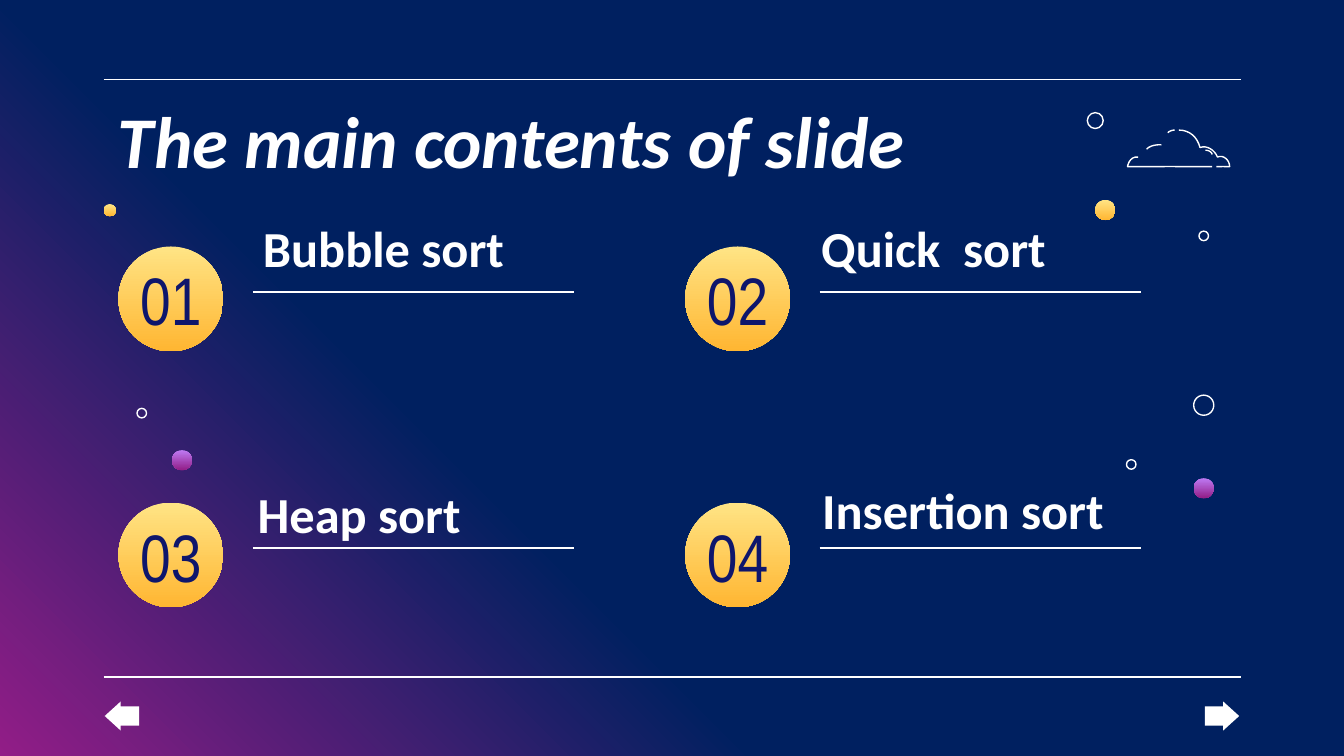
"""Build the contents slide listing four sorting algorithms."""
from lxml import etree
from pptx import Presentation, util as u
from pptx.dml.color import RGBColor
from pptx.enum import shapes, text
from pptx.oxml.ns import qn

Cm = u.Cm
COLORS = {
    "white": "FFFFFF", "navy": "002060", "magenta": "921D87", "digit": "0E166C",
    "gold": "FFE485", "amber": "FFB632", "violet": "BE7AF3",
}
RGB = {name: RGBColor.from_string(value) for name, value in COLORS.items()}
GOLD, PURPLE = ("gold", "amber"), ("violet", "magenta")
TITLE = {"size": u.Pt(39), "name": "Calibri", "bold": True, "italic": True}
LABEL = {"size": u.Pt(27), "name": "Calibri", "bold": True}
NUMBER = {"size": u.Pt(36), "name": "Arial Narrow", "bold": False}
FRAME = {"word_wrap": True, "auto_size": text.MSO_AUTO_SIZE.NONE}
FRAME |= {f"margin_{side}": Cm(0.25) for side in ("left", "top", "right", "bottom")}


def write(sp, content, font, color="white", align="LEFT", anchor="TOP"):
    tf = sp.text_frame
    for name, value in FRAME.items():
        setattr(tf, name, value)
    tf.vertical_anchor = text.MSO_ANCHOR[anchor]
    p = tf.paragraphs[0]
    p.alignment = text.PP_ALIGN[align]
    r = p.add_run()
    r.text = content
    for name, value in font.items():
        setattr(r.font, name, value)
    r.font.color.rgb = RGB[color]


def paint(fill, stops, angle, start=0):
    fill.gradient()
    fill.gradient_angle = angle
    for stop, color, position in zip(fill.gradient_stops, stops, (start, 1)):
        stop.color.rgb = RGB[color]
        stop.position = position


prs = Presentation()
prs.slide_width, prs.slide_height = Cm(25.4), Cm(14.29)
s = prs.slides.add_slide(prs.slide_layouts[5])
paint(s.background.fill, ("navy", "magenta"), 225, 0.64)

title = s.shapes.title
title.left, title.top, title.width, title.height = Cm(1.98), Cm(1.55), Cm(21.44), Cm(1.68)
write(title, "The main contents of slide", TITLE)

columns, rows, size = (2.24, 12.95), (4.66, 9.5), 1.98
labels = [
    ("Bubble sort", 4.72, 3.86), ("Quick  sort", 15.27, 3.86),
    ("Heap sort", 4.62, 8.89), ("Insertion sort", 15.29, 8.81),
]
rules = [(1.96, 1.5, 21.49), (1.96, 12.8, 21.49)]
dots = [
    (20.7, 3.78, 0.38, GOLD), (1.96, 3.86, 0.23, GOLD),
    (22.56, 9.04, 0.38, PURPLE), (3.25, 8.51, 0.38, PURPLE),
    (22.66, 4.37, 0.18, None), (20.55, 2.13, 0.3, None), (22.56, 7.47, 0.38, None),
    (21.29, 8.69, 0.18, None), (2.59, 7.72, 0.18, None),
]
cells = [(x, y) for y in rows for x in columns]
for x, y in cells:
    rules.append((x + 2.54, y + 0.86, 6.07))
    dots.append((x, y, size, GOLD))

for x, y, length in rules:
    rule = s.shapes.add_connector(
        shapes.MSO_CONNECTOR.STRAIGHT, Cm(x), Cm(y), Cm(x + length), Cm(y))
    rule.line.color.rgb = RGB["white"]
    rule.line.width = u.Pt(0.75)
    etree.SubElement(rule._element.spPr, qn("a:effectLst"))

for x, y, d, stops in dots:
    dot = s.shapes.add_shape(shapes.MSO_SHAPE.OVAL, Cm(x), Cm(y), Cm(d), Cm(d))
    dot.shadow.inherit = False
    if stops:
        paint(dot.fill, stops, 270)
        dot.line.fill.background()
    else:
        dot.fill.background()
        dot.line.color.rgb = RGB["white"]
        dot.line.width = u.Pt(0.75)

for i, ((x, y), (label, left, top)) in enumerate(zip(cells, labels), 1):
    number = s.shapes.add_textbox(Cm(x), Cm(y + 0.51), Cm(size), Cm(0.97))
    write(number, f"{i:02}", NUMBER, "digit", "CENTER", "MIDDLE")
    name = s.shapes.add_textbox(Cm(left), Cm(top), Cm(7.8), Cm(1.22))
    write(name, label, LABEL)

for kind, x in (("LEFT_ARROW", 1.98), ("RIGHT_ARROW", 22.77)):
    arrow = s.shapes.add_shape(shapes.MSO_SHAPE[kind], Cm(x), Cm(13.26), Cm(0.65), Cm(0.55))
    arrow.adjustments[0], arrow.adjustments[1] = 0.66, 0.55
    arrow.shadow.inherit = False
    arrow.fill.solid()
    arrow.fill.fore_color.rgb = RGB["white"]
    arrow.line.fill.background()

cloud_strokes = [
    [(22.28, 2.46), (22.48, 2.46), (22.63, 2.59), (22.68, 2.79),
     (22.81, 2.74), (22.96, 2.84), (23.01, 2.97),
     (23.11, 2.92), (23.24, 3.02), (23.24, 3.15),
     (23.24, 3.15), (22.99, 3.15), (22.99, 3.15)],
    [(22.2, 2.46), (22.2, 2.46), (22.12, 2.46), (22.07, 2.51)],
    [(22.91, 3.15), (22.91, 3.15), (21.31, 3.15), (21.31, 3.15),
     (21.31, 3.15), (21.34, 2.95), (21.51, 2.97)],
    [(22.78, 2.84), (22.78, 2.84), (22.89, 2.84), (22.91, 2.92)],
    [(21.95, 2.74), (21.95, 2.74), (21.77, 2.72), (21.67, 2.82)],
]
cloud = s.shapes.add_group_shape()
steps = 8
for stroke in cloud_strokes:
    points = []
    for k in range(0, len(stroke) - 1, 3):
        for step in range(1, steps + 1):
            t = step / steps
            weights = ((1 - t) ** 3, 3 * t * (1 - t) ** 2, 3 * t * t * (1 - t), t ** 3)
            points.append(tuple(
                Cm(sum(w * c[axis] for w, c in zip(weights, stroke[k:k + 4])))
                for axis in (0, 1)))
    builder = cloud.shapes.build_freeform(Cm(stroke[0][0]), Cm(stroke[0][1]))
    builder.add_line_segments(points, close=False)
    sp = builder.convert_to_shape()
    sp.shadow.inherit = False
    sp.fill.background()
    sp.line.color.rgb = RGB["white"]
    sp.line.width = u.Pt(0.75)

prs.save("out.pptx")
